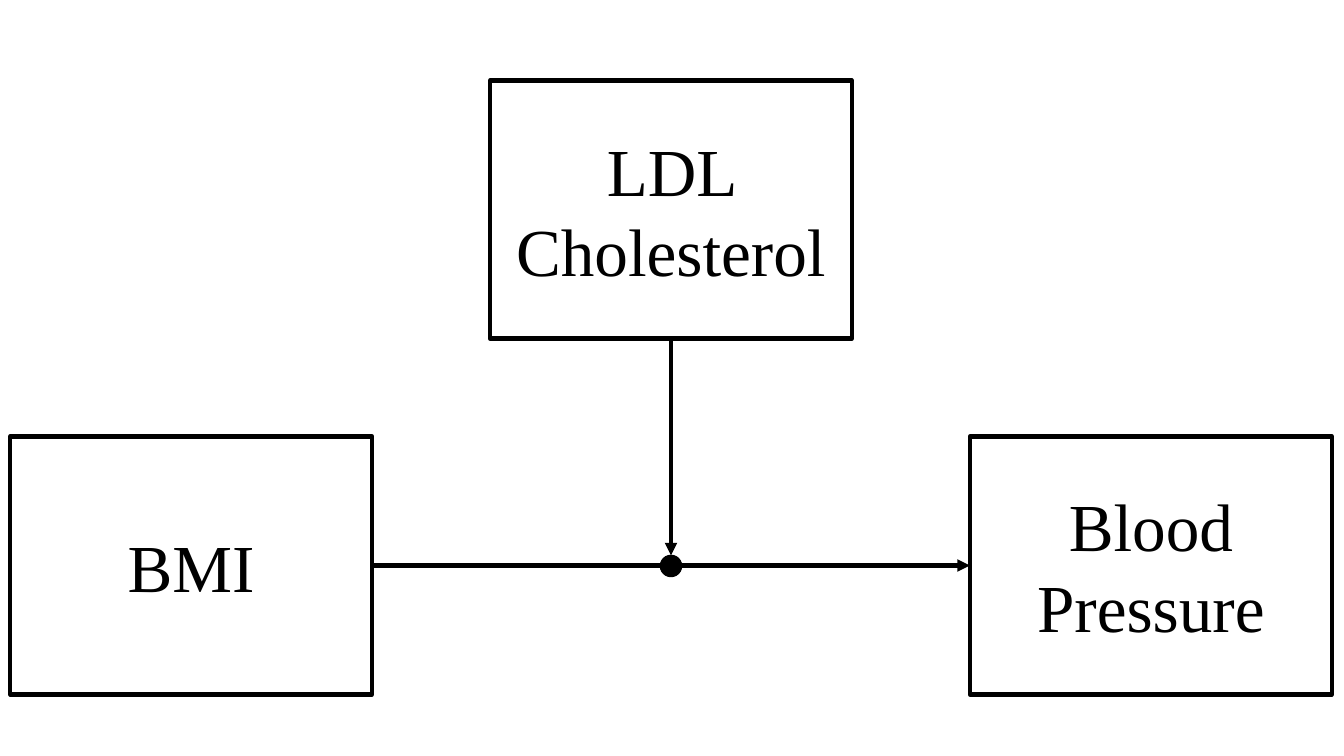
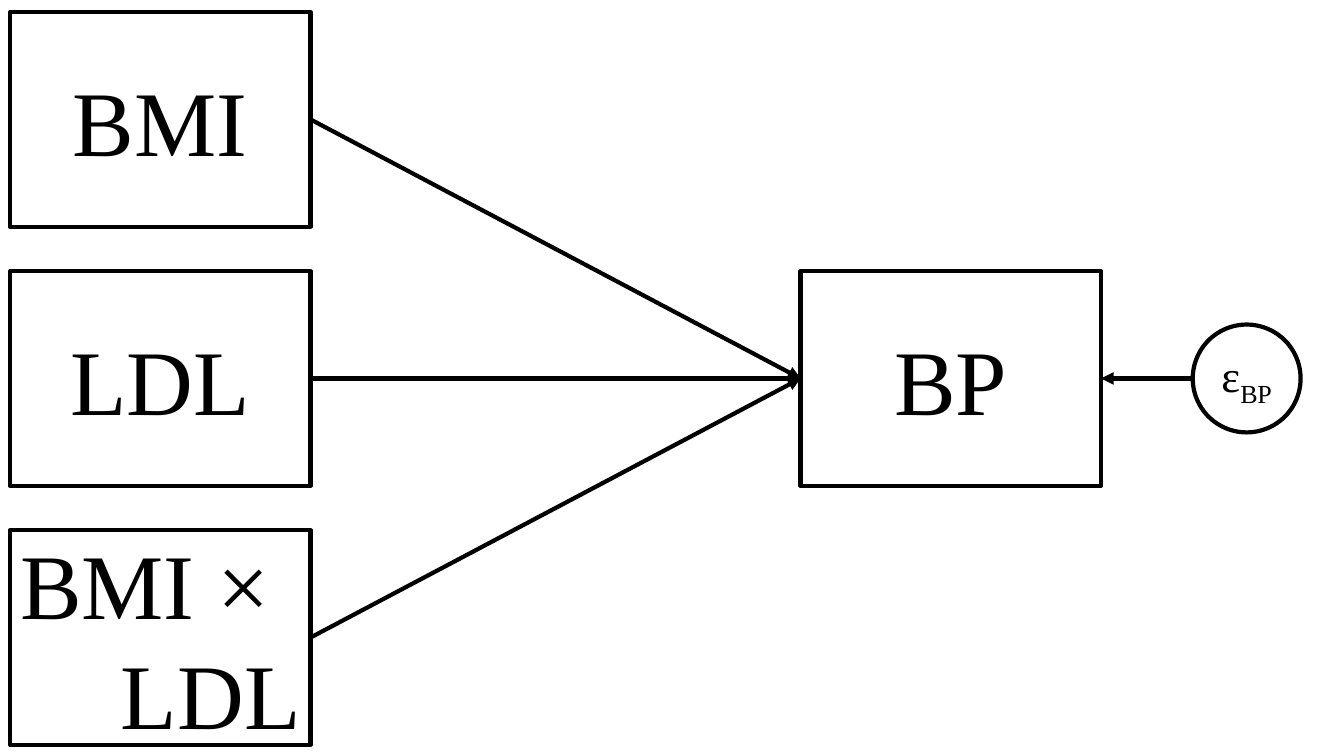
from lxml import etree
from pptx import Presentation
from pptx.dml.color import RGBColor
from pptx.enum.shapes import MSO_CONNECTOR, MSO_SHAPE
from pptx.enum.text import MSO_ANCHOR, PP_ALIGN
from pptx.oxml.ns import qn
from pptx.util import Inches, Pt

RECT, OVAL = MSO_SHAPE.RECTANGLE, MSO_SHAPE.OVAL
STRAIGHT = MSO_CONNECTOR.STRAIGHT
MIDDLE = MSO_ANCHOR.MIDDLE
LEFT, CENTER, RIGHT = PP_ALIGN.LEFT, PP_ALIGN.CENTER, PP_ALIGN.RIGHT

COLORS = {"ink": "000000", "paper": "FFFFFF"}
INK = RGBColor.from_string(COLORS["ink"])
FONT = "Times New Roman"
LINE = Pt(3)

# Connection sites of a rectangle, and the left site of an oval
TOP_SITE, LEFT_SITE, BOTTOM_SITE, RIGHT_SITE = range(4)
OVAL_LEFT_SITE = 2


def add_node(slide, text, left, top, width, height, size=48, geometry=RECT,
             fill="paper", line=LINE, aligns=(CENTER,), subscript=""):
    """Add an outlined shape; each line of text is a paragraph with its own align."""
    node = slide.shapes.add_shape(
        geometry, Inches(left), Inches(top), Inches(width), Inches(height))
    node.shadow.inherit = False
    node.fill.solid()
    node.fill.fore_color.rgb = RGBColor.from_string(COLORS[fill])
    node.line.color.rgb = INK
    node.line.width = line
    frame = node.text_frame
    frame.word_wrap = True
    frame.vertical_anchor = MIDDLE
    frame.text = text
    for paragraph, align in zip(frame.paragraphs, aligns):
        paragraph.alignment = align
    if subscript:
        run = frame.paragraphs[0].add_run()
        run.text = subscript
        run.font._element.set("baseline", "-25000")
    for paragraph in frame.paragraphs:
        for run in paragraph.runs:
            run.font.name = FONT
            run.font.size = Pt(size)
            run.font.color.rgb = INK
    return node


def add_arrow(slide, source, source_site, target, target_site):
    arrow = slide.shapes.add_connector(STRAIGHT, 0, 0, 0, 0)
    arrow.begin_connect(source, source_site)
    arrow.end_connect(target, target_site)
    arrow.line.color.rgb = INK
    arrow.line.width = LINE
    etree.SubElement(arrow.line._get_or_add_ln(), qn("a:tailEnd"), type="triangle")
    etree.SubElement(arrow._element.spPr, qn("a:effectLst"))
    return arrow


prs = Presentation()
prs.slide_width, prs.slide_height = Inches(13.33), Inches(7.5)
blank = prs.slide_layouts[6]

# Slide 1: conceptual moderation model
concept = prs.slides.add_slide(blank)
box_size = (3.59, 2.56)
moderator = add_node(concept, "LDL Cholesterol", 4.86, 0.8, *box_size)
predictor = add_node(concept, "BMI", 0.1, 4.33, *box_size)
outcome = add_node(concept, "Blood Pressure", 9.62, 4.33, *box_size)
junction = add_node(concept, "", 6.55, 5.51, 0.21, 0.21,
                    geometry=OVAL, fill="ink", line=Pt(1))
add_arrow(concept, moderator, BOTTOM_SITE, junction, TOP_SITE)
add_arrow(concept, predictor, RIGHT_SITE, outcome, LEFT_SITE)

# Slide 2: statistical model with the interaction term
model = prs.slides.add_slide(blank)
term_size = (2.98, 2.13)
first_top, row_step = 0.12, 2.57
pressure = add_node(model, "BP", 7.94, first_top + row_step, *term_size, size=66)
terms = [("BMI", (CENTER,)), ("LDL", (CENTER,)), ("BMI ×\nLDL", (LEFT, RIGHT))]
for row, (term, aligns) in enumerate(terms):
    term_box = add_node(model, term, 0.1, first_top + row * row_step, *term_size,
                        size=66, aligns=aligns)
    add_arrow(model, term_box, RIGHT_SITE, pressure, LEFT_SITE)

error = add_node(model, "ε", 11.83, 3.22, 1.07, 1.07, size=32,
                 geometry=OVAL, subscript="BP")
error_arrow = add_arrow(model, error, OVAL_LEFT_SITE, pressure, RIGHT_SITE)
# An oval numbers its sites differently from a rectangle, so place the start here
error_arrow.begin_x = error.left
error_arrow.begin_y = error.top + error.height // 2

prs.save("out.pptx")
